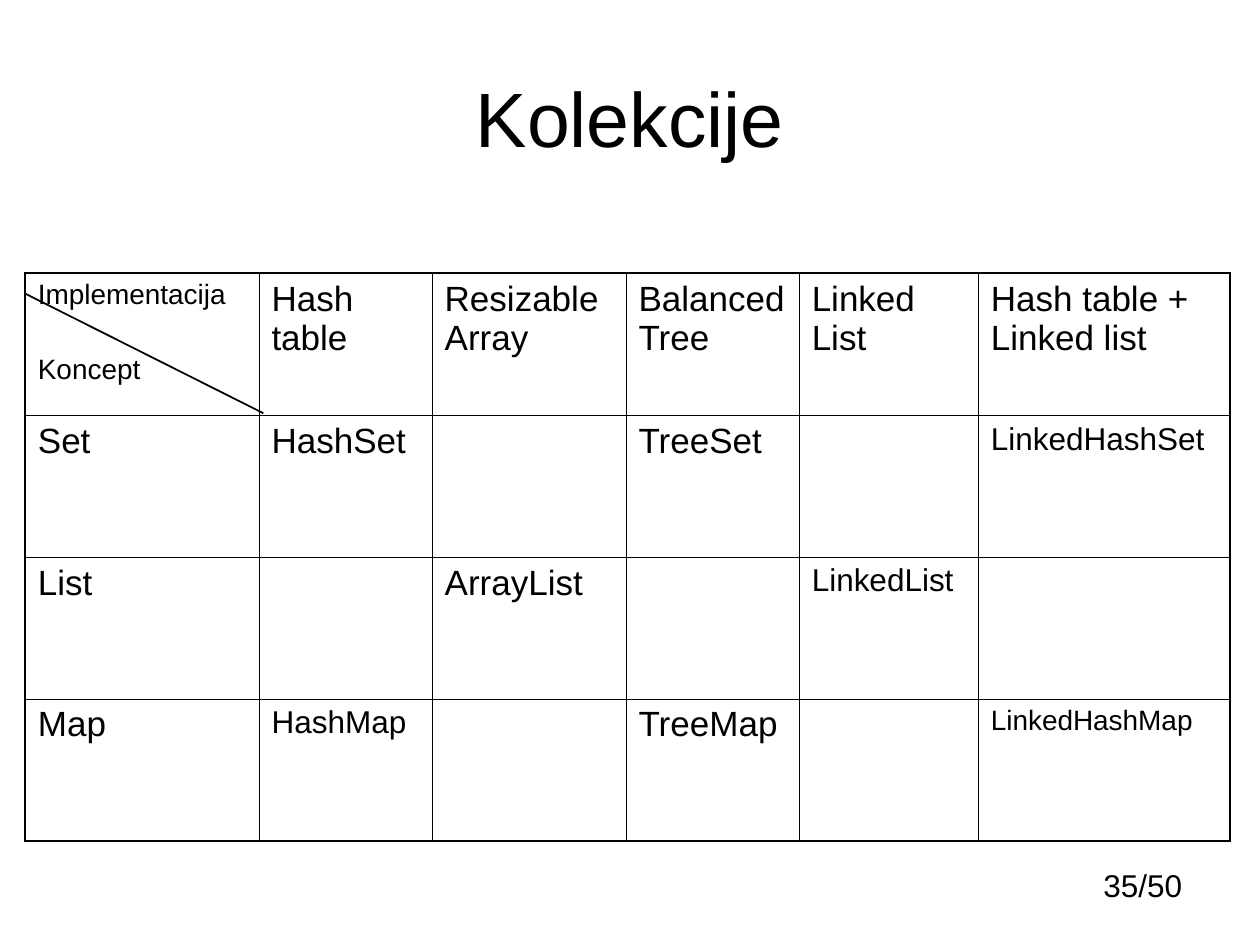
from lxml.etree import SubElement
from pptx import Presentation
from pptx.dml.color import RGBColor
from pptx.enum.shapes import MSO_CONNECTOR
from pptx.enum.text import MSO_ANCHOR, PP_ALIGN
from pptx.oxml import parse_xml
from pptx.oxml.ns import nsdecls, qn
from pptx.util import Cm, Pt

FONT = "Arial"
BLACK = "000000"
THIN, THICK = 0.45, 1.08
TITLE = "Kolekcije"
PAGE_NUMBER = "35/50"
CORNER = ("Implementacija", "Koncept")
CORNER_GAP = 25
ROWS = [
    ["", "Hash table", "Resizable Array", "Balanced Tree", "Linked List", "Hash table + Linked list"],
    ["Set", "HashSet", "", "TreeSet", "", "LinkedHashSet"],
    ["List", "", "ArrayList", "", "LinkedList", ""],
    ["Map", "HashMap", "", "TreeMap", "", "LinkedHashMap"],
]
CELL_SIZE = 20
SMALLER = {"LinkedHashSet": 18, "LinkedList": 18, "HashMap": 18, "LinkedHashMap": 16}
COLUMN_WIDTHS = [4.71, 3.49, 3.91, 3.49, 3.61, 5.08]
ROW_HEIGHT = 2.86
TABLE_LEFT, TABLE_TOP = 0.51, 5.51


def color(value):
    return RGBColor.from_string(value)


def add_text(para, text, size, align=PP_ALIGN.LEFT):
    para.alignment = align
    span = para.add_run()
    span.text = text
    span.font.name = FONT
    span.font.size = Pt(size)
    span.font.color.rgb = color(BLACK)


def add_box(page, text, size, align, left, top, width, height):
    box = page.shapes.add_textbox(Cm(left), Cm(top), Cm(width), Cm(height))
    frame = box.text_frame
    frame.word_wrap = True
    frame.vertical_anchor = MSO_ANCHOR.MIDDLE
    add_text(frame.paragraphs[0], text, size, align)


def set_borders(cell, widths):
    """Draw the left, right, top and bottom borders, widths in points."""
    properties = cell._tc.get_or_add_tcPr()
    for index, (side, width) in enumerate(zip("LRTB", widths)):
        line = parse_xml(f'<a:ln{side} {nsdecls("a")} w="{Pt(width)}"/>')
        fill = SubElement(line, qn("a:solidFill"))
        SubElement(fill, qn("a:srgbClr"), val=BLACK)
        properties.insert(index, line)


def add_collection_table(page):
    row_count, column_count = len(ROWS), len(COLUMN_WIDTHS)
    table = page.shapes.add_table(
        row_count, column_count, Cm(TABLE_LEFT), Cm(TABLE_TOP),
        Cm(sum(COLUMN_WIDTHS)), Cm(ROW_HEIGHT * row_count)).table
    table.first_row = table.horz_banding = False
    for column, width in zip(table.columns, COLUMN_WIDTHS):
        column.width = Cm(width)
    for r, texts in enumerate(ROWS):
        table.rows[r].height = Cm(ROW_HEIGHT)
        for c, text in enumerate(texts):
            cell = table.cell(r, c)
            cell.fill.background()
            outer = (c == 0, c == column_count - 1, r == 0, r == row_count - 1)
            set_borders(cell, [THICK if edge else THIN for edge in outer])
            if text:
                add_text(cell.text_frame.paragraphs[0], text, SMALLER.get(text, CELL_SIZE))

    frame = table.cell(0, 0).text_frame
    add_text(frame.paragraphs[0], CORNER[0], 16)
    para = frame.add_paragraph()
    para.space_before = Pt(CORNER_GAP)
    add_text(para, CORNER[1], 16)


def add_diagonal(page):
    line = page.shapes.add_connector(
        MSO_CONNECTOR.STRAIGHT, Cm(5.31), Cm(8.33), Cm(TABLE_LEFT), Cm(5.92))
    line.line.color.rgb = color(BLACK)
    line.line.width = Pt(1)
    SubElement(line._element.spPr, qn("a:effectLst"))


def main():
    deck = Presentation()
    deck.slide_width, deck.slide_height = Cm(25.4), Cm(19.05)
    page = deck.slides.add_slide(deck.slide_layouts[6])
    page.background.fill.solid()
    page.background.fill.fore_color.rgb = color("FFFFFF")
    add_box(page, PAGE_NUMBER, 18, PP_ALIGN.RIGHT, 18.29, 17.32, 5.79, 1.02)
    add_box(page, TITLE, 44, PP_ALIGN.CENTER, 1.27, 0.76, 22.86, 3.18)
    add_collection_table(page)
    add_diagonal(page)
    deck.save("out.pptx")


if __name__ == "__main__":
    main()
